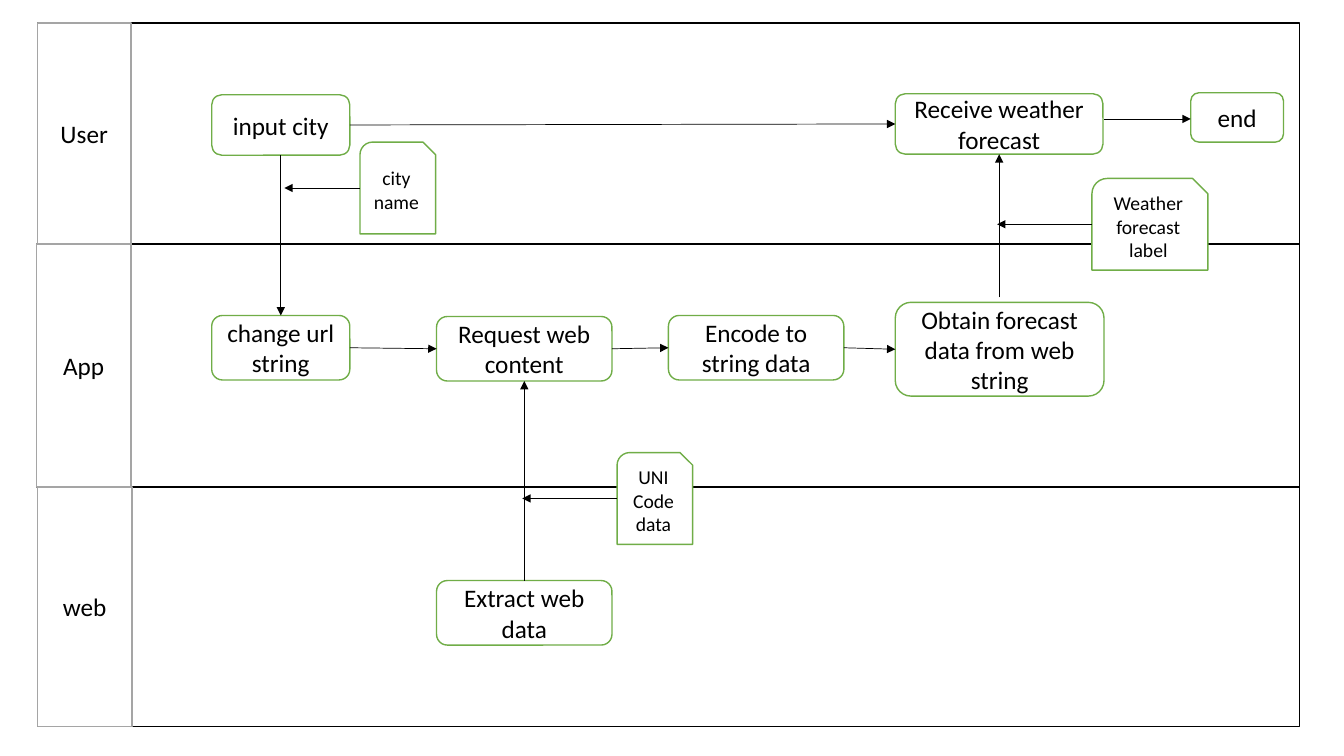
import pptx
import pptx.dml.color
import pptx.enum.shapes
import pptx.enum.text
import pptx.oxml
import pptx.oxml.ns
import pptx.util

SHAPES = pptx.enum.shapes.MSO_SHAPE
BLACK, WHITE, GREY, GREEN = "000000", "FFFFFF", "A5A5A5", "70AD47"
TOP, LEFT, BOTTOM, RIGHT = range(4)

# Swimlanes: label, left edge, label width; each lane runs to the next edge.
LANES = [("User", 0.37, 0.93), ("App", 0.36, 0.94), ("web", 0.37, 0.94)]
LANE_EDGES = [0.23, 2.42, 4.83, 7.21]
LANES_RIGHT = 12.89

# Steps: text, left, top, width, height in inches.
STEPS = {
    "input": ("input city", 2.1, 0.94, 1.37, 0.6),
    "change": ("change url string", 2.1, 3.13, 1.37, 0.64),
    "request": ("Request web content", 4.33, 3.14, 1.74, 0.64),
    "extract": ("Extract web data", 4.33, 5.76, 1.74, 0.64),
    "encode": ("Encode to string data", 6.63, 3.13, 1.74, 0.64),
    "obtain": ("Obtain forecast data from web string", 8.88, 3, 2.07, 0.93),
    "receive": ("Receive weather forecast", 8.88, 0.93, 2.06, 0.6),
    "end": ("end", 11.81, 0.92, 0.92, 0.49),
}
FLOWS = [
    ("input", RIGHT, "receive", LEFT),
    ("input", BOTTOM, "change", TOP),
    ("change", RIGHT, "request", LEFT),
    ("request", RIGHT, "encode", LEFT),
    ("encode", RIGHT, "obtain", LEFT),
    ("extract", TOP, "request", BOTTOM),
]
# Arrows that stand clear of the step edges: from x, y to x, y.
FREE_ARROWS = [(9.91, 2.95, 9.91, 1.53), (10.95, 1.18, 11.81, 1.18)]

# Data notes: text, left, top, width, x of the flow that the note points to.
NOTES = [
    ("city name", 3.57, 1.41, 0.75, 2.82),
    ("UNI Code data", 6.12, 4.49, 0.75, 5.18),
    ("Weather forecast\nlabel", 10.83, 1.77, 1.15, 9.89),
]
NOTE_HEIGHT = 0.91


def color(hex_string):
    return pptx.dml.color.RGBColor.from_string(hex_string)


def add_box(slide, kind, box, line_color, text="", size=18):
    shape = slide.shapes.add_shape(kind, *map(pptx.util.Inches, box))
    shape.shadow.inherit = False
    shape.fill.solid()
    shape.fill.fore_color.rgb = color(WHITE)
    shape.line.color.rgb = color(line_color)
    shape.line.width = pptx.util.Pt(1)
    if text:
        frame = shape.text_frame
        frame.text = text
        frame.word_wrap = True
        frame.vertical_anchor = pptx.enum.text.MSO_ANCHOR.MIDDLE
        for paragraph in frame.paragraphs:
            paragraph.alignment = pptx.enum.text.PP_ALIGN.CENTER
            paragraph.font.name = "Calibri"
            paragraph.font.size = pptx.util.Pt(size)
            paragraph.font.color.rgb = color(BLACK)
    return shape


def add_arrow(slide, points=(0, 0, 0, 0)):
    arrow = slide.shapes.add_connector(
        pptx.enum.shapes.MSO_CONNECTOR.STRAIGHT, *map(pptx.util.Inches, points))
    arrow.line.color.rgb = color(BLACK)
    arrow.line.width = pptx.util.Pt(0.5)
    head = pptx.oxml.parse_xml(
        f'<a:tailEnd {pptx.oxml.ns.nsdecls("a")} type="triangle"/>')
    arrow.line._get_or_add_ln().append(head)
    arrow._element.spPr.append(
        pptx.oxml.parse_xml(f'<a:effectLst {pptx.oxml.ns.nsdecls("a")}/>'))
    return arrow


def add_lanes(slide):
    rows = [(label, left, top, width, bottom - top)
            for (label, left, width), top, bottom
            in zip(LANES, LANE_EDGES, LANE_EDGES[1:])]
    for _, left, top, _, height in rows:
        add_box(slide, SHAPES.FLOWCHART_PROCESS,
                (left, top, LANES_RIGHT - left, height), BLACK)
    for label, *box in rows:
        add_box(slide, SHAPES.RECTANGLE, box, GREY, label)


def add_flows(slide):
    steps = {name: add_box(slide, SHAPES.ROUNDED_RECTANGLE, box, GREEN, text)
             for name, (text, *box) in STEPS.items()}
    for start, start_side, finish, finish_side in FLOWS:
        arrow = add_arrow(slide)
        arrow.begin_connect(steps[start], start_side)
        arrow.end_connect(steps[finish], finish_side)
    for points in FREE_ARROWS:
        add_arrow(slide, points)


def add_notes(slide):
    for text, left, top, width, target in NOTES:
        add_box(slide, SHAPES.SNIP_ROUND_RECTANGLE,
                (left, top, width, NOTE_HEIGHT), GREEN, text, 14)
        middle = top + NOTE_HEIGHT / 2
        add_arrow(slide, (left, middle, target, middle))


def main():
    presentation = pptx.Presentation()
    presentation.slide_width = pptx.util.Inches(13.33)
    presentation.slide_height = pptx.util.Inches(7.5)
    slide = presentation.slides.add_slide(presentation.slide_layouts[6])
    add_lanes(slide)
    add_flows(slide)
    add_notes(slide)
    presentation.save("out.pptx")


if __name__ == "__main__":
    main()
